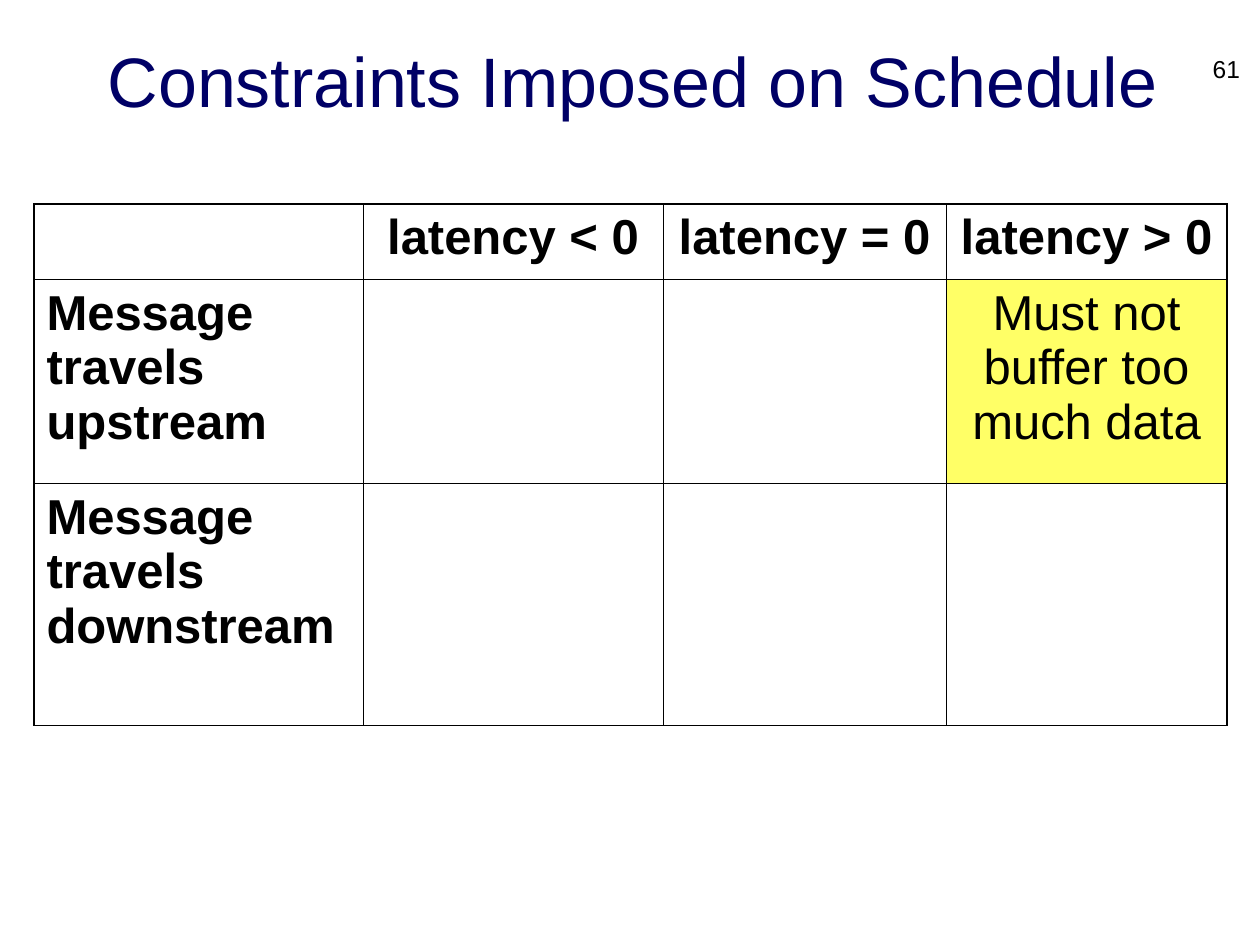
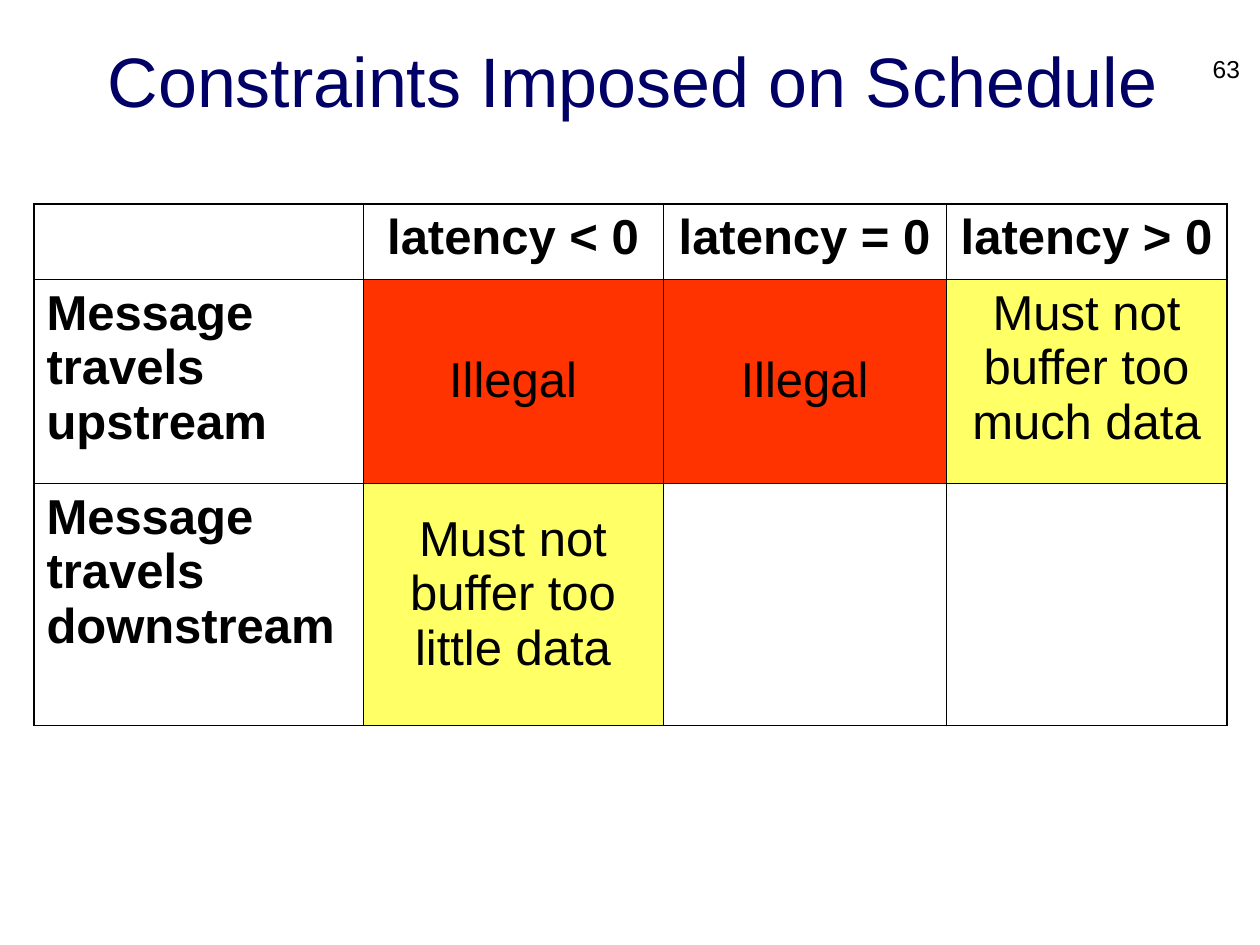
from lxml.etree import SubElement
from pptx import Presentation
from pptx.dml.color import RGBColor
from pptx.enum.text import MSO_ANCHOR, PP_ALIGN
from pptx.oxml.ns import qn
from pptx.util import Pt

NAVY = RGBColor(0x00, 0x00, 0x66)
BLACK = RGBColor(0x00, 0x00, 0x00)
WHITE = RGBColor(0xFF, 0xFF, 0xFF)
YELLOW = RGBColor(0xFF, 0xFF, 0x66)
RED = RGBColor(0xFF, 0x33, 0x00)

THIN, THICK = 0.45, 1.08
COLUMN_WIDTHS = [188, 171.5, 161.7, 160.6]
ROW_HEIGHTS = [43.2, 116.6, 138.2]

HEADINGS = {
    (0, 1): "latency < 0",
    (0, 2): "latency = 0",
    (0, 3): "latency > 0",
    (1, 0): "Message travels upstream",
    (2, 0): "Message travels downstream",
}
# (row, column): text, fill, top margin in points
TOO_MUCH = {(1, 3): ("Must not buffer too much data", YELLOW, 3.6)}
ALL_CONSTRAINTS = {
    **TOO_MUCH,
    (1, 1): ("Illegal", RED, 42),
    (1, 2): ("Illegal", RED, 42),
    (2, 1): ("Must not buffer too little data", YELLOW, 16.2),
}
SLIDES = [("61", TOO_MUCH), ("63", ALL_CONSTRAINTS)]


def style(paragraph, size, color, align, bold=False):
    paragraph.alignment = align
    for run in paragraph.runs:
        run.font.name = "Arial"
        run.font.size = Pt(size)
        run.font.bold = bold
        run.font.color.rgb = color


def add_borders(cell, row, column):
    """Draw thin inner edges and thick outer edges around a table cell."""
    outer_edges = {
        "a:lnL": column == 0,
        "a:lnR": column == len(COLUMN_WIDTHS) - 1,
        "a:lnT": row == 0,
        "a:lnB": row == len(ROW_HEIGHTS) - 1,
    }
    properties = cell._tc.get_or_add_tcPr()
    for tag, is_outer in outer_edges.items():
        width = Pt(THICK if is_outer else THIN)
        edge = SubElement(properties, qn(tag), w=str(width))
        fill = SubElement(edge, qn("a:solidFill"))
        SubElement(fill, qn("a:srgbClr"), val=str(BLACK))


deck = Presentation()
deck.slide_width, deck.slide_height = Pt(720), Pt(540)
title_only = deck.slide_layouts[5]

for page, constraints in SLIDES:
    slide = deck.slides.add_slide(title_only)

    title = slide.shapes.title
    title.left, title.top, title.width, title.height = Pt(20.9), Pt(13.7), Pt(681), Pt(63.4)
    title.text_frame.text = "Constraints Imposed on Schedule"
    title.text_frame.vertical_anchor = MSO_ANCHOR.MIDDLE
    style(title.text_frame.paragraphs[0], 40, NAVY, PP_ALIGN.CENTER)

    schedule = slide.shapes.add_table(
        len(ROW_HEIGHTS), len(COLUMN_WIDTHS), Pt(19.4), Pt(116.6),
        Pt(sum(COLUMN_WIDTHS)), Pt(sum(ROW_HEIGHTS))).table
    schedule.first_row = schedule.horz_banding = False
    for column, width in enumerate(COLUMN_WIDTHS):
        schedule.columns[column].width = Pt(width)

    for row, height in enumerate(ROW_HEIGHTS):
        schedule.rows[row].height = Pt(height)
        for column in range(len(COLUMN_WIDTHS)):
            place = (row, column)
            cell = schedule.cell(row, column)
            heading = HEADINGS.get(place, "")
            text, fill, top = constraints.get(place, (heading, WHITE, 3.6))
            add_borders(cell, row, column)
            cell.fill.solid()
            cell.fill.fore_color.rgb = fill
            cell.margin_top = Pt(top)
            if text:
                cell.text_frame.text = text
                align = PP_ALIGN.LEFT if column == 0 else PP_ALIGN.CENTER
                style(cell.text_frame.paragraphs[0], 28, BLACK, align, bool(heading))

    page_number = slide.shapes.add_textbox(Pt(681), Pt(27.4), Pt(34.6), Pt(21.6)).text_frame
    page_number.word_wrap = True
    page_number.text = page
    style(page_number.paragraphs[0], 14, BLACK, PP_ALIGN.RIGHT)

deck.save("out.pptx")
